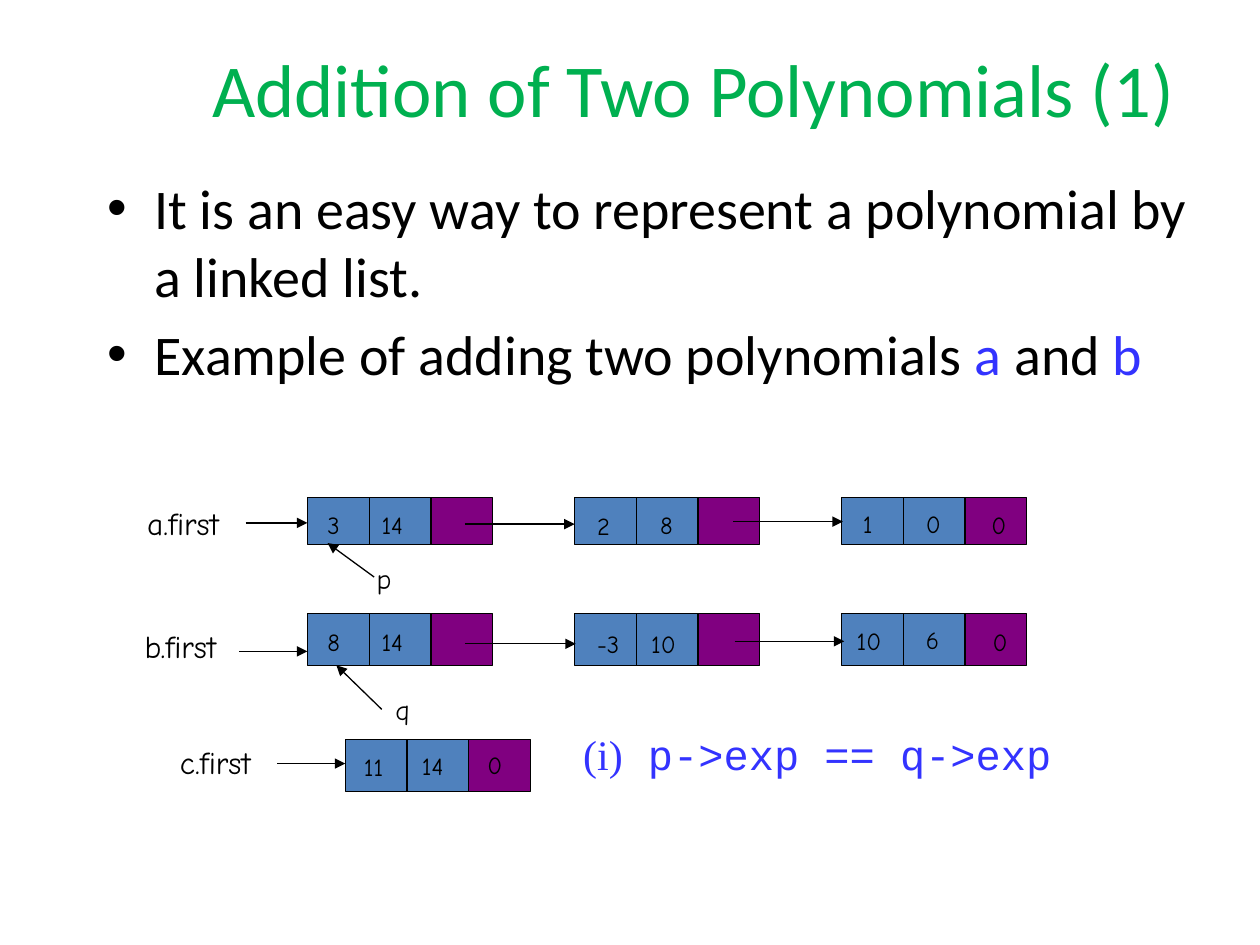
from lxml.etree import SubElement
from pptx import Presentation
from pptx.dml.color import RGBColor
from pptx.enum.shapes import MSO_CONNECTOR, MSO_SHAPE
from pptx.enum.text import MSO_ANCHOR, MSO_AUTO_SIZE, PP_ALIGN
from pptx.oxml.ns import qn
from pptx.util import Inches, Pt

COLORS = {"black": "000000", "green": "00B050", "blue": "3333FF",
          "cell": "4F81BD", "link": "800080"}
CELL = 0.49
PITCH = 2.12


class Sketch:
    """Draws styled elements on the current slide."""

    def __init__(self, deck):
        self.slide = deck.slides.add_slide(deck.slide_layouts[1])
        self.shapes = self.slide.shapes
        self.frame = {"word_wrap": True, "auto_size": MSO_AUTO_SIZE.SHAPE_TO_FIT_TEXT}

    def color(self, name):
        return RGBColor.from_string(COLORS[name])

    def apply(self, target, values):
        for name, value in values.items():
            setattr(target, name, value)

    def add_text(self, para, text, size, font="Calibri", color="black"):
        run = para.add_run()
        run.text = text
        self.apply(run.font, {"size": Pt(size), "name": font})
        run.font.color.rgb = self.color(color)

    def place(self, shape, left, top, width, height):
        self.apply(shape, {"left": Inches(left), "top": Inches(top),
                           "width": Inches(width), "height": Inches(height)})

    def title(self, text, *area):
        shape = self.shapes.title
        self.place(shape, *area)
        self.apply(shape.text_frame, {"vertical_anchor": MSO_ANCHOR.BOTTOM,
                                      "auto_size": MSO_AUTO_SIZE.NONE})
        para = shape.text_frame.paragraphs[0]
        para.alignment = PP_ALIGN.CENTER
        self.add_text(para, text, 42.7, color="green")

    def bullets(self, items, *area):
        shape = self.slide.placeholders[1]
        self.place(shape, *area)
        frame = shape.text_frame
        frame.auto_size = MSO_AUTO_SIZE.NONE
        for index, runs in enumerate(items):
            para = frame.add_paragraph() if index else frame.paragraphs[0]
            para.space_before = Pt(6.4 if index else 0)
            for text, color in runs:
                self.add_text(para, text, 32, color=color)

    def label(self, runs, left, top, width, height):
        area = map(Inches, (left, top, width, height))
        frame = self.shapes.add_textbox(*area).text_frame
        self.apply(frame, self.frame)
        for run in runs:
            self.add_text(frame.paragraphs[0], *run)

    def note(self, text, left, top, size=14):
        width, height = {14: (0.28 if len(text) == 1 else 0.46, 0.33),
                         16: (0.28, 0.36), 18: (1.12, 0.4)}[size]
        self.label([(text, size, "Comic Neue")], left, top, width, height)

    def node(self, left, top, height):
        for index, fill in enumerate(("cell", "cell", "link")):
            area = map(Inches, (left + index * CELL, top, CELL, height))
            cell = self.shapes.add_shape(MSO_SHAPE.RECTANGLE, *area)
            cell.shadow.inherit = False
            cell.fill.solid()
            cell.fill.fore_color.rgb = self.color(fill)
            cell.line.color.rgb = self.color("black")
            cell.line.width = Pt(0.75)

    def arrow(self, *ends):
        line = self.shapes.add_connector(MSO_CONNECTOR.STRAIGHT, *map(Inches, ends))
        line.line.color.rgb = self.color("black")
        line.line.width = Pt(0.75)
        props = line.element.spPr
        SubElement(props.find(qn("a:ln")), qn("a:tailEnd"), type="triangle")
        SubElement(props, qn("a:effectLst"))


def main():
    deck = Presentation()
    deck.slide_width, deck.slide_height = Inches(10), Inches(7.5)
    sketch = Sketch(deck)
    sketch.title("Addition of Two Polynomials (1)", 1.58, 0.25, 7.85, 0.85)
    sketch.bullets([
        [("It is an easy way to represent a polynomial by a linked list.", "black")],
        [("Example of adding two polynomials ", "black"), ("a", "blue"),
         (" and ", "black"), ("b", "blue")],
    ], 0.75, 1.33, 8.83, 2.25)

    rows = [
        {"name": ("a.first", 1.07, 3.95), "node": (2.44, 3.95, 0.37), "count": 3,
         "arrows": [(1.95, 2.44, 4.15), (3.69, 4.56, 4.16), (5.82, 6.69, 4.14)],
         "terms": [("3", 2.5, 4), ("14", 2.93, 4), ("2", 4.64, 4.01), ("8", 5.14, 4),
                   ("1", 6.75, 3.99), ("0", 7.25, 3.99), ("0", 7.77, 4)]},
        {"name": ("b.first", 1.05, 4.93), "node": (2.44, 4.87, 0.41), "count": 3,
         "arrows": [(1.9, 2.44, 5.17), (3.69, 4.57, 5.11), (5.83, 6.7, 5.09)],
         "terms": [("8", 2.5, 4.93), ("14", 2.93, 4.93), ("-3", 4.64, 4.94),
                   ("10", 5.07, 4.94), ("10", 6.7, 4.92), ("6", 7.25, 4.91),
                   ("0", 7.78, 4.93)]},
        {"name": ("c.first", 1.33, 5.85), "node": (2.74, 5.87, 0.41), "count": 1,
         "arrows": [(2.2, 2.74, 6.06)],
         "terms": [("11", 2.79, 5.92), ("14", 3.25, 5.91), ("0", 3.77, 5.9)]},
    ]
    for row in rows:
        sketch.note(*row["name"], size=18)
        left, top, height = row["node"]
        for index in range(row["count"]):
            sketch.node(left + index * PITCH, top, height)
        for start, end, level in row["arrows"]:
            sketch.arrow(start, level, end, level)
        for term in row["terms"]:
            sketch.note(*term)

    sketch.note("p", 2.89, 4.41, size=16)
    sketch.note("q", 3.04, 5.45, size=16)
    sketch.arrow(2.97, 4.58, 2.6, 4.31)
    sketch.arrow(3.03, 5.63, 2.67, 5.28)
    sketch.label([("(i)", 24, "Times New Roman", "blue"),
                  (" p->exp == q->exp", 24, "Courier New", "blue")],
                 4.53, 5.73, 4.37, 0.5)
    deck.save("out.pptx")


if __name__ == "__main__":
    main()
